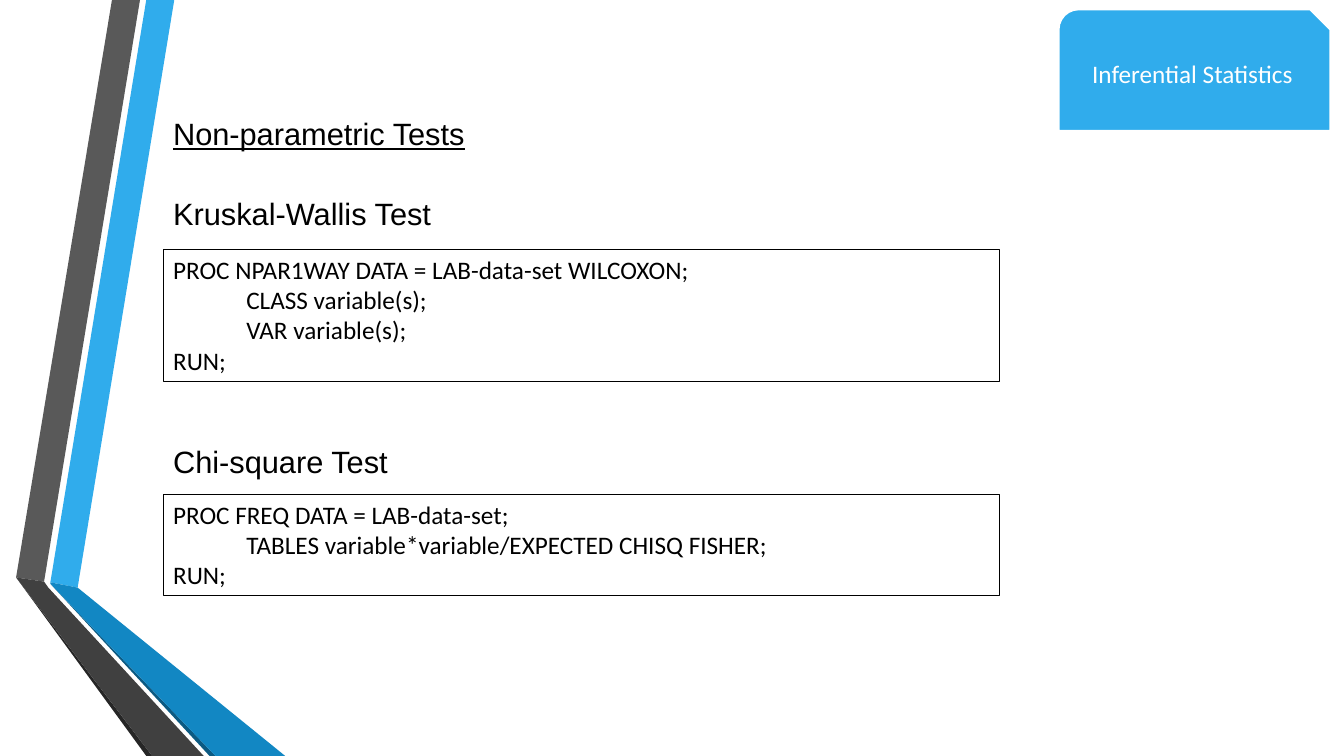
from pptx import Presentation
from pptx.dml.color import RGBColor
from pptx.enum import shapes, text
from pptx.util import Pt

BLACK = RGBColor(0x00, 0x00, 0x00)
WHITE = RGBColor(0xFF, 0xFF, 0xFF)
BLUE = RGBColor(0x30, 0xAC, 0xEC)
MID_BLUE = RGBColor(0x12, 0x87, 0xC3)
DEEP_BLUE = RGBColor(0x0C, 0x5A, 0x82)
GREY = RGBColor(0x59, 0x59, 0x59)
DARK_GREY = RGBColor(0x40, 0x40, 0x40)
CHARCOAL = RGBColor(0x26, 0x26, 0x26)

WIDTH, HEIGHT = 960, 540
MARGIN = 116.6
HEADING_WIDTH, HEADING_HEIGHT = 789, 47.5
CODE_WIDTH = 597.6
CODE_INDENT = 52.3

RIBBON_FACETS = [
    (BLUE, [(24.5, 416), (44, 419.75), (113, 0), (93, 0)]),
    (GREY, [(88.5, 0), (68.5, 0), (0, 412.5), (20, 415.5)]),
    (CHARCOAL, [(0, 412.5), (93, 540), (97.2, 540)]),
    (DEEP_BLUE, [(24.5, 417), (138.2, 540), (142.5, 540)]),
    (MID_BLUE, [(24.5, 416), (24.5, 417), (142.5, 540), (192.25, 540), (44, 419.75)]),
    (DARK_GREY, [(134, 540), (23, 419.75), (20, 415.5), (0, 412.5), (97.2, 540)]),
]

SECTIONS = [
    (128.8, 178, 94.5, "Kruskal-Wallis Test", [
        (0, "PROC NPAR1WAY DATA = LAB-data-set WILCOXON;"),
        (1, "CLASS variable(s);"),
        (1, "VAR variable(s);"),
        (0, "RUN;"),
    ]),
    (305.5, 353, 72.7, "Chi-square Test", [
        (0, "PROC FREQ DATA = LAB-data-set;"),
        (1, "TABLES variable*variable/EXPECTED CHISQ FISHER;"),
        (0, "RUN;"),
    ]),
]


def style_font(paragraph, name, size, color):
    """Give every run of a paragraph its typeface, size and colour."""
    for run in paragraph.runs:
        run.font.name = name
        run.font.size = Pt(size)
        run.font.color.rgb = color


def add_ribbon(slide, left, top):
    """Draw the folded two-band ribbon from its top left corner."""
    for color, corners in RIBBON_FACETS:
        outline = [(Pt(left + x), Pt(top + y)) for x, y in corners]
        builder = slide.shapes.build_freeform(*outline[0])
        builder.add_line_segments(outline[1:], close=True)
        facet = builder.convert_to_shape()
        facet.shadow.inherit = False
        facet.fill.solid()
        facet.fill.fore_color.rgb = color
        facet.line.fill.background()


def add_heading(slide, left, top, width, height, wording, underline=False):
    """Place a vertically centred heading in the given box."""
    heading = slide.shapes.add_textbox(Pt(left), Pt(top), Pt(width), Pt(height))
    frame = heading.text_frame
    frame.word_wrap = True
    frame.vertical_anchor = text.MSO_ANCHOR.MIDDLE
    frame.text = wording
    style_font(frame.paragraphs[0], "Arial", 22, BLACK)
    if underline:
        frame.paragraphs[0].runs[0].font.underline = True


def add_panel(slide, preset, left, top, width, height, fill, line, line_width):
    """Add a filled, outlined preset shape without shadow."""
    panel = slide.shapes.add_shape(preset, Pt(left), Pt(top), Pt(width), Pt(height))
    panel.shadow.inherit = False
    panel.fill.solid()
    panel.fill.fore_color.rgb = fill
    panel.line.color.rgb = line
    panel.line.width = Pt(line_width)
    panel.text_frame.word_wrap = True
    return panel


def add_code(slide, left, top, width, height, statements):
    """Place a framed listing whose inner statements are indented."""
    listing = add_panel(slide, shapes.MSO_SHAPE.RECTANGLE, left, top, width, height,
                        WHITE, BLACK, 0.75)
    frame = listing.text_frame
    frame.vertical_anchor = text.MSO_ANCHOR.TOP
    frame.text = "\n".join(statement for _, statement in statements)
    for paragraph, (level, _) in zip(frame.paragraphs, statements):
        paragraph.alignment = text.PP_ALIGN.LEFT
        paragraph._p.get_or_add_pPr().set("marL", str(Pt(level * CODE_INDENT)))
        style_font(paragraph, "Calibri", 18, BLACK)


def add_topic_tab(slide, left, top, width, height, topic):
    """Place the coloured topic tab in the given box."""
    tab = add_panel(slide, shapes.MSO_SHAPE.SNIP_ROUND_RECTANGLE, left, top, width, height,
                    BLUE, WHITE, 1.75)
    frame = tab.text_frame
    frame.vertical_anchor = text.MSO_ANCHOR.MIDDLE
    frame.text = topic
    frame.paragraphs[0].alignment = text.PP_ALIGN.CENTER
    style_font(frame.paragraphs[0], "Calibri", 18, WHITE)


def main():
    """Build the slide on non-parametric tests and save it."""
    deck = Presentation()
    deck.slide_width, deck.slide_height = Pt(WIDTH), Pt(HEIGHT)
    slide = deck.slides.add_slide(deck.slide_layouts[6])
    add_ribbon(slide, 11.5, 0)
    add_heading(slide, MARGIN, 71.3, HEADING_WIDTH, HEADING_HEIGHT,
                "Non-parametric Tests", underline=True)
    for heading_top, code_top, code_height, test, statements in SECTIONS:
        add_heading(slide, MARGIN, heading_top, HEADING_WIDTH, HEADING_HEIGHT, test)
        add_code(slide, MARGIN, code_top, CODE_WIDTH, code_height, statements)
    add_topic_tab(slide, 756, 6.5, 194.4, 87.1, "Inferential Statistics")
    deck.save("out.pptx")


if __name__ == "__main__":
    main()
